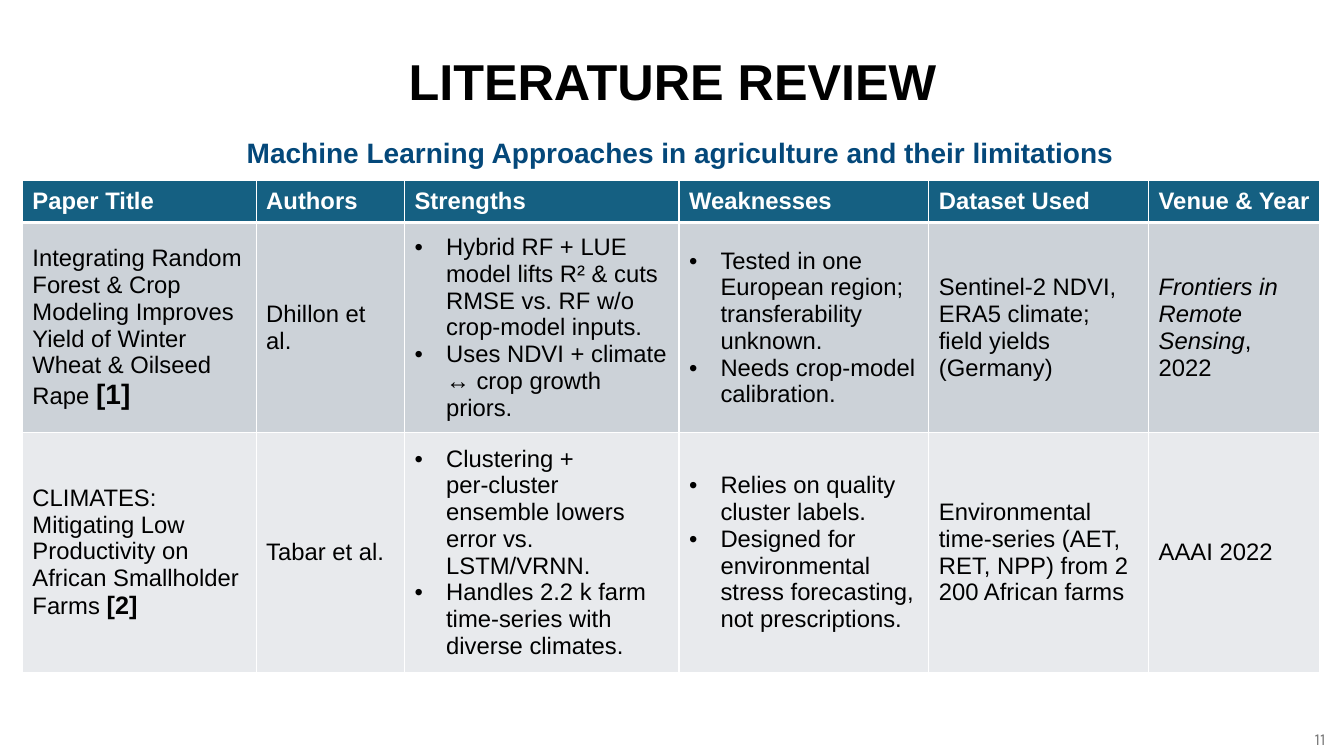
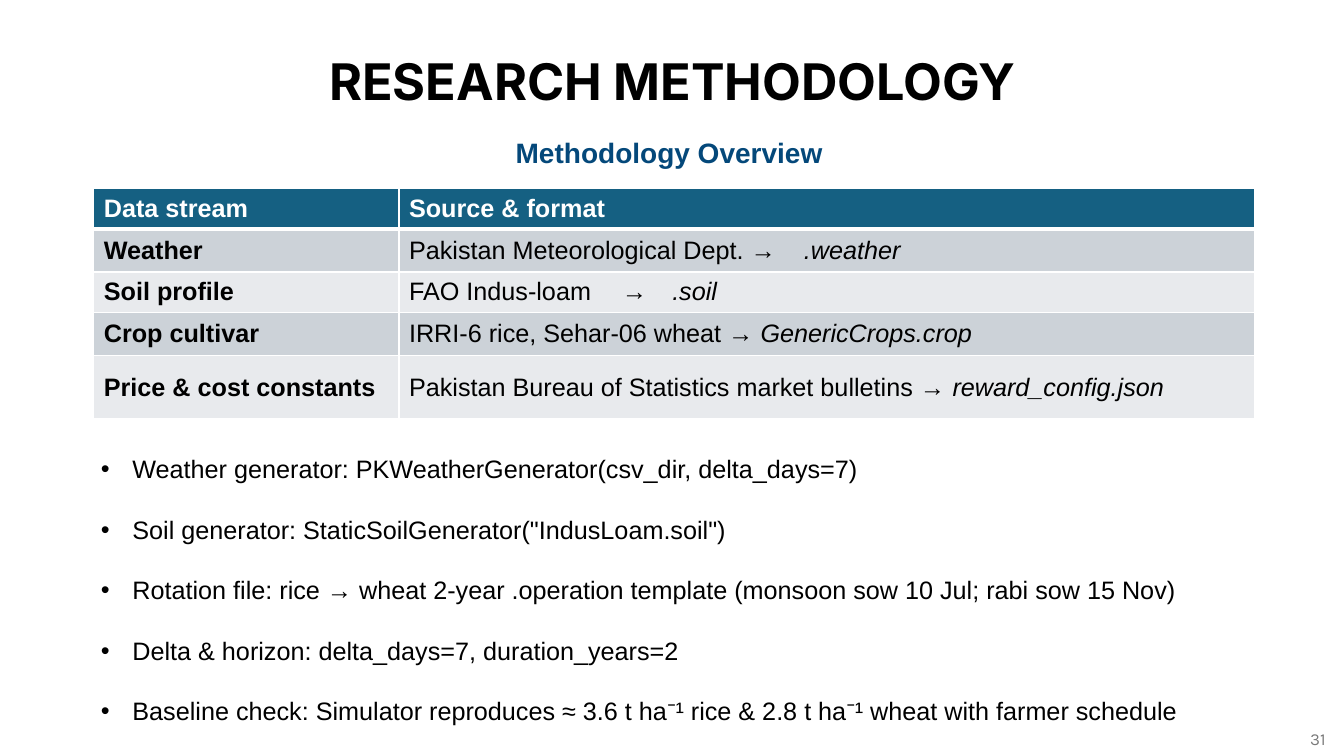
from dataclasses import dataclass
from typing import NamedTuple, Optional

from lxml import etree
from pptx import Presentation
from pptx.dml.color import RGBColor
from pptx.enum.text import MSO_ANCHOR, PP_ALIGN
from pptx.oxml.ns import qn
from pptx.util import Pt

LEFT, CENTER, RIGHT = PP_ALIGN.LEFT, PP_ALIGN.CENTER, PP_ALIGN.RIGHT
TOP, MIDDLE = MSO_ANCHOR.TOP, MSO_ANCHOR.MIDDLE


@dataclass(frozen=True)
class Theme:
    font: str = "Arial"
    number_font: str = "Karla"
    ink: str = "000000"
    white: str = "FFFFFF"
    accent: str = "04487A"
    header: str = "156082"
    bands: tuple = ("CCD2D8", "E8EAED")
    muted: str = "797979"
    title_size: float = 36
    subtitle_size: float = 20
    body_size: float = 18
    dense_size: float = 17
    number_size: float = 12
    bullet_indent: float = 22.5
    rule: float = 1
    header_rule: float = 3


THEME = Theme()


class Style(NamedTuple):
    size: float
    color: str = THEME.ink
    bold: bool = False
    font: str = THEME.font
    align: PP_ALIGN = LEFT
    spacing: Optional[float] = None


class Span(NamedTuple):
    text: str
    size: Optional[float] = None
    bold: Optional[bool] = None
    italic: Optional[bool] = None


class Para(NamedTuple):
    spans: tuple
    bullet: bool = False
    tabs: tuple = ()


def plain(*texts):
    return [Para((Span(text),)) for text in texts]


def bullets(*texts):
    return [Para((Span(text),), bullet=True) for text in texts]


def mixed(*spans, tabs=()):
    return [Para(spans, tabs=tabs)]


def source_cell(source, file_name, tabs=()):
    return mixed(Span(source), Span(file_name, italic=True), tabs=tabs)


def add_bullet(properties):
    indent = Pt(THEME.bullet_indent)
    properties.set("marL", str(indent))
    properties.set("indent", str(-indent))
    etree.SubElement(properties, qn("a:buFont"), typeface="Arial")
    etree.SubElement(properties, qn("a:buChar"), char="•")


def add_tabs(properties, stops):
    tab_list = etree.SubElement(properties, qn("a:tabLst"))
    for stop in stops:
        etree.SubElement(tab_list, qn("a:tab"), pos=str(Pt(stop)), algn="l")


def write_paragraph(paragraph, para, style):
    paragraph.alignment = style.align
    if style.spacing:
        paragraph.line_spacing = style.spacing
    properties = paragraph._p.get_or_add_pPr()
    if para.bullet:
        add_bullet(properties)
    if para.tabs:
        add_tabs(properties, para.tabs)
    font = paragraph.font
    font.name, font.size, font.bold = style.font, Pt(style.size), style.bold
    font.color.rgb = RGBColor.from_string(style.color)
    for span in para.spans:
        run = paragraph.add_run()
        run.text = span.text
        if span.size:
            run.font.size = Pt(span.size)
        if span.bold is not None:
            run.font.bold = span.bold
        if span.italic is not None:
            run.font.italic = span.italic


def write_text(frame, paras, style):
    for index, para in enumerate(paras):
        paragraph = frame.add_paragraph() if index else frame.paragraphs[0]
        write_paragraph(paragraph, para, style)


def add_text(page, place, paras, style, anchor=TOP, padded=True):
    box = page.shapes.add_textbox(*map(Pt, place))
    frame = box.text_frame
    frame.word_wrap = True
    frame.vertical_anchor = anchor
    if not padded:
        frame.margin_left = frame.margin_right = 0
        frame.margin_top = frame.margin_bottom = 0
    write_text(frame, paras, style)


def set_borders(cell, top, bottom):
    properties = cell._tc.get_or_add_tcPr()
    sides = (("L", THEME.rule), ("R", THEME.rule), ("T", top), ("B", bottom))
    for index, (side, width) in enumerate(sides):
        line = etree.Element(qn(f"a:ln{side}"), w=str(Pt(width)))
        fill = etree.SubElement(line, qn("a:solidFill"))
        etree.SubElement(fill, qn("a:srgbClr"), val=THEME.white)
        properties.insert(index, line)


def add_table(page, left, top, widths, heights, rows, size, bold_first=False):
    place = map(Pt, (left, top, sum(widths), sum(heights)))
    table = page.shapes.add_table(len(rows), len(widths), *place).table
    table.horz_banding = False
    for column, width in zip(table.columns, widths):
        column.width = Pt(width)
    for row, height in zip(table.rows, heights):
        row.height = Pt(height)
    for r, row in enumerate(rows):
        is_header = r == 0
        fill = THEME.header if is_header else THEME.bands[(r - 1) % 2]
        color = THEME.white if is_header else THEME.ink
        for c, paras in enumerate(row):
            cell = table.cell(r, c)
            cell.vertical_anchor = MIDDLE
            cell.fill.solid()
            cell.fill.fore_color.rgb = RGBColor.from_string(fill)
            set_borders(
                cell,
                top=THEME.header_rule if r == 1 else THEME.rule,
                bottom=THEME.header_rule if is_header else THEME.rule,
            )
            bold = is_header or (bold_first and c == 0)
            write_text(cell.text_frame, paras, Style(size, color, bold))


def add_page(deck, title, subtitle, subtitle_left, subtitle_width, number, title_font=THEME.font):
    page = deck.slides.add_slide(deck.slide_layouts[6])
    add_text(page, (222, 32.4, 517, 51), plain(title),
             Style(THEME.title_size, bold=True, font=title_font, align=CENTER))
    add_text(page, (738, 513.5, 216, 28.8), plain(number),
             Style(THEME.number_size, THEME.muted, font=THEME.number_font, align=RIGHT),
             anchor=MIDDLE)
    add_text(page, (subtitle_left, 96.5, subtitle_width, 24.5), plain(subtitle),
             Style(THEME.subtitle_size, THEME.accent, bold=True, align=CENTER),
             padded=False)
    return page


def add_literature_page(deck):
    page = add_page(deck, "LITERATURE REVIEW",
                    "Machine Learning Approaches in agriculture and their limitations",
                    119, 734, "11")
    headings = ("Paper Title", "Authors", "Strengths", "Weaknesses",
                "Dataset Used", "Venue & Year")
    rows = [
        [plain(heading) for heading in headings],
        [
            plain("Integrating Random Forest & Crop")
            + mixed(Span("Modeling Improves Yield of Winter Wheat & Oilseed Rape "),
                    Span("[1]", size=20, bold=True)),
            plain("Dhillon et al."),
            bullets("Hybrid RF + LUE model lifts R² & cuts RMSE vs. RF w/o crop‑model inputs.",
                    "Uses NDVI + climate ↔ crop growth priors."),
            bullets("Tested in one European region; transferability unknown.",
                    "Needs crop‑model calibration."),
            plain("Sentinel‑2 NDVI, ERA5 climate; field yields (Germany)"),
            mixed(Span("Frontiers in Remote Sensing", italic=True), Span(", 2022")),
        ],
        [
            mixed(Span("CLIMATES: Mitigating Low Productivity on African Smallholder Farms "),
                  Span("[2]", size=18, bold=True)),
            plain("Tabar et al."),
            bullets("Clustering + per‑cluster ensemble lowers error vs. LSTM/VRNN.",
                    "Handles 2.2 k farm time‑series with diverse climates."),
            bullets("Relies on quality cluster labels.",
                    "Designed for environmental stress forecasting, not prescriptions."),
            plain("Environmental time‑series (AET, RET, NPP) from 2 200 African farms"),
            plain("AAAI 2022"),
        ],
    ]
    add_table(page, 16, 129, (167, 106, 196, 178.5, 157, 122.5), (30, 149, 171),
              rows, THEME.dense_size)


def add_methodology_page(deck):
    page = add_page(deck, "RESEARCH METHODOLOGY", "Methodology Overview",
                    368, 220, "31", title_font="Inter")
    rows = [
        [plain("Data stream"), plain("Source & format")],
        [plain("Weather"),
         source_cell("Pakistan Meteorological Dept. →\t", ".weather", tabs=(282,))],
        [plain("Soil profile"),
         source_cell("FAO Indus‑loam\t→\t", ".soil", tabs=(152, 188))],
        [plain("Crop cultivar"),
         source_cell("IRRI‑6 rice, Sehar‑06 wheat → ", "GenericCrops.crop")],
        [plain("Price & cost constants"),
         source_cell("Pakistan Bureau of Statistics market bulletins → ",
                     "reward_config.json")],
    ]
    add_table(page, 67, 134.5, (218, 611.5), (28.5, 31, 28.5, 31, 45),
              rows, THEME.body_size, bold_first=True)
    steps = bullets(
        "Weather generator: PKWeatherGenerator(csv_dir, delta_days=7)",
        'Soil generator: StaticSoilGenerator("IndusLoam.soil")',
        "Rotation file: rice → wheat 2‑year .operation template "
        "(monsoon sow 10 Jul; rabi sow 15 Nov)",
        "Delta & horizon: delta_days=7, duration_years=2",
        "Baseline check: Simulator reproduces ≈ 3.6 t ha⁻¹ rice & 2.8 t ha⁻¹ wheat "
        "with farmer schedule",
    )
    add_text(page, (65, 299, 829.5, 219), steps, Style(THEME.body_size, spacing=2))


def main():
    deck = Presentation()
    deck.slide_width, deck.slide_height = Pt(960), Pt(540)
    add_literature_page(deck)
    add_methodology_page(deck)
    deck.save("out.pptx")


if __name__ == "__main__":
    main()
